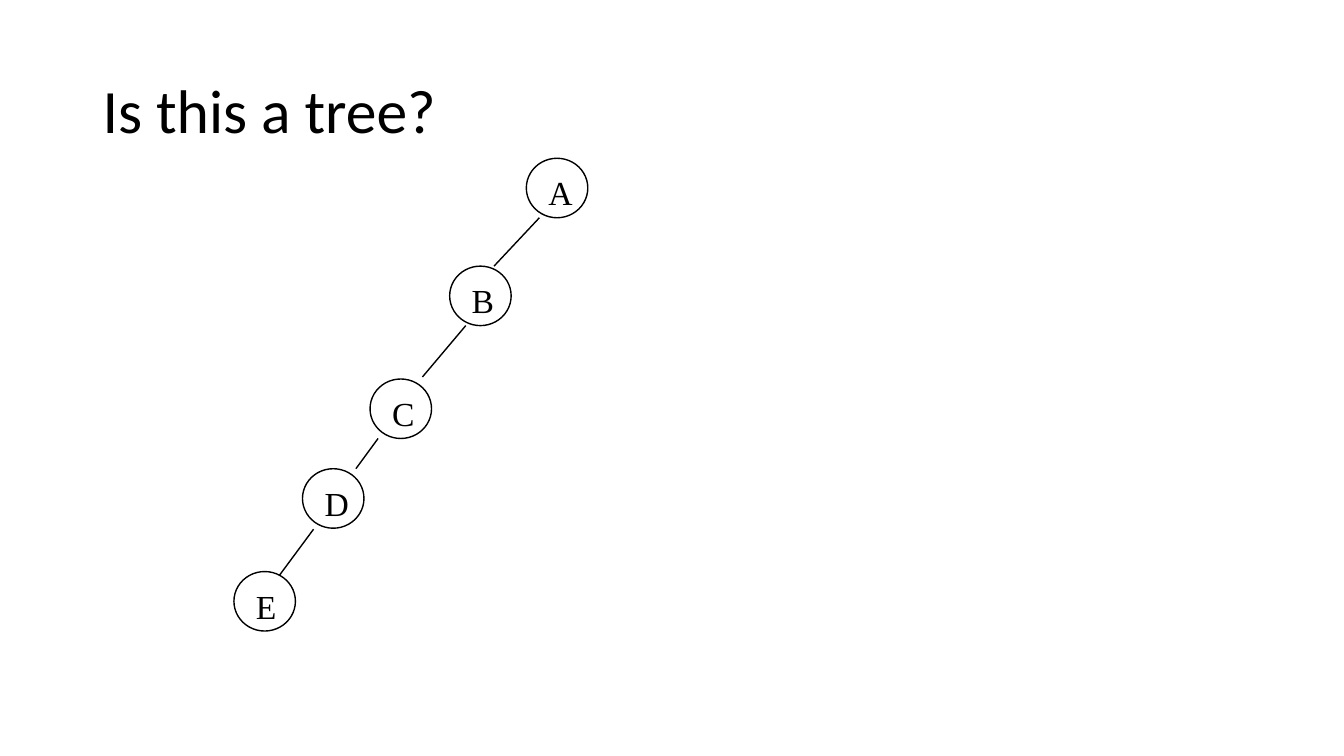
import pptx
import pptx.util
import pptx.dml.color
import pptx.enum.shapes
import pptx.enum.text
import pptx.oxml.ns
import lxml.etree

Inches = pptx.util.Inches
BLACK = pptx.dml.color.RGBColor(0, 0, 0)
NODES = {
    "A": (5.22, 1.57, 0.45),
    "B": (4.46, 2.64, 0.43),
    "C": (3.67, 3.76, 0.43),
    "D": (3.0, 4.65, 0.45),
    "E": (2.32, 5.67, 0.41),
}
EDGES = [
    (5.35, 2.16, 4.9, 2.64),
    (4.62, 3.23, 4.19, 3.74),
    (3.75, 4.35, 3.53, 4.65),
    (3.11, 5.25, 2.77, 5.71),
]


def write(shapes, text, box, size, font, wrap=False, space=None, anchor="TOP"):
    frame = shapes.add_textbox(*map(Inches, box)).text_frame
    frame.word_wrap = wrap
    frame.vertical_anchor = pptx.enum.text.MSO_ANCHOR[anchor]
    line = frame.paragraphs[0]
    line.line_spacing = space
    run = line.add_run()
    run.text = text
    run.font.size = pptx.util.Pt(size)
    run.font.name = font
    run.font.color.rgb = BLACK


def ink(line):
    line.color.rgb = BLACK
    line.width = pptx.util.Pt(1)


def node(shapes, name, left, top, wide):
    group = shapes.add_group_shape().shapes
    ring = group.add_shape(
        pptx.enum.shapes.MSO_SHAPE.OVAL,
        *map(Inches, (left, top, 0.61, 0.59)))
    ring.shadow.inherit = False
    ring.fill.background()
    ink(ring.line)
    write(group, name, (left + 0.12, top + 0.09, wide, 0.51),
          24, "Times New Roman")


def edge(shapes, ends):
    link = shapes.add_connector(
        pptx.enum.shapes.MSO_CONNECTOR.STRAIGHT, *map(Inches, ends))
    ink(link.line)
    lxml.etree.SubElement(
        link._element.spPr, pptx.oxml.ns.qn("a:effectLst"))


def tree(shapes, left, top):
    for name, (x, y, wide) in NODES.items():
        node(shapes, name, left + x, top + y, wide)
    for x1, y1, x2, y2 in EDGES:
        edge(shapes, (left + x1, top + y1, left + x2, top + y2))


def main():
    deck = pptx.Presentation()
    deck.slide_width = Inches(13.33)
    deck.slide_height = Inches(7.5)
    shapes = deck.slides.add_slide(deck.slide_layouts[6]).shapes
    write(shapes, "Is this a tree?", (0.92, 0.4, 11.5, 1.45), 44, "Calibri",
          wrap=True, space=0.9, anchor="MIDDLE")
    tree(shapes, 0, 0)
    deck.save("out.pptx")


if __name__ == "__main__":
    main()
